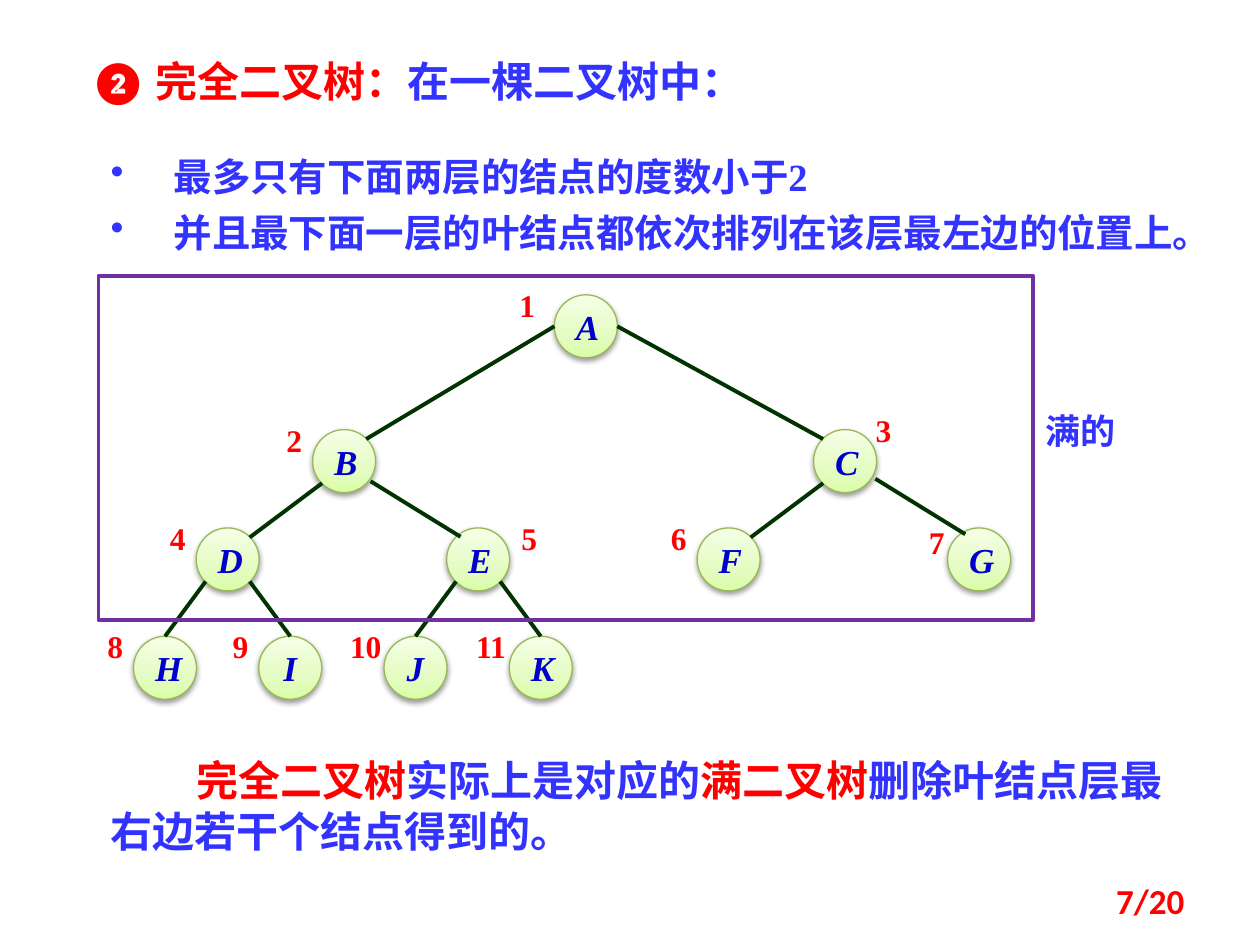
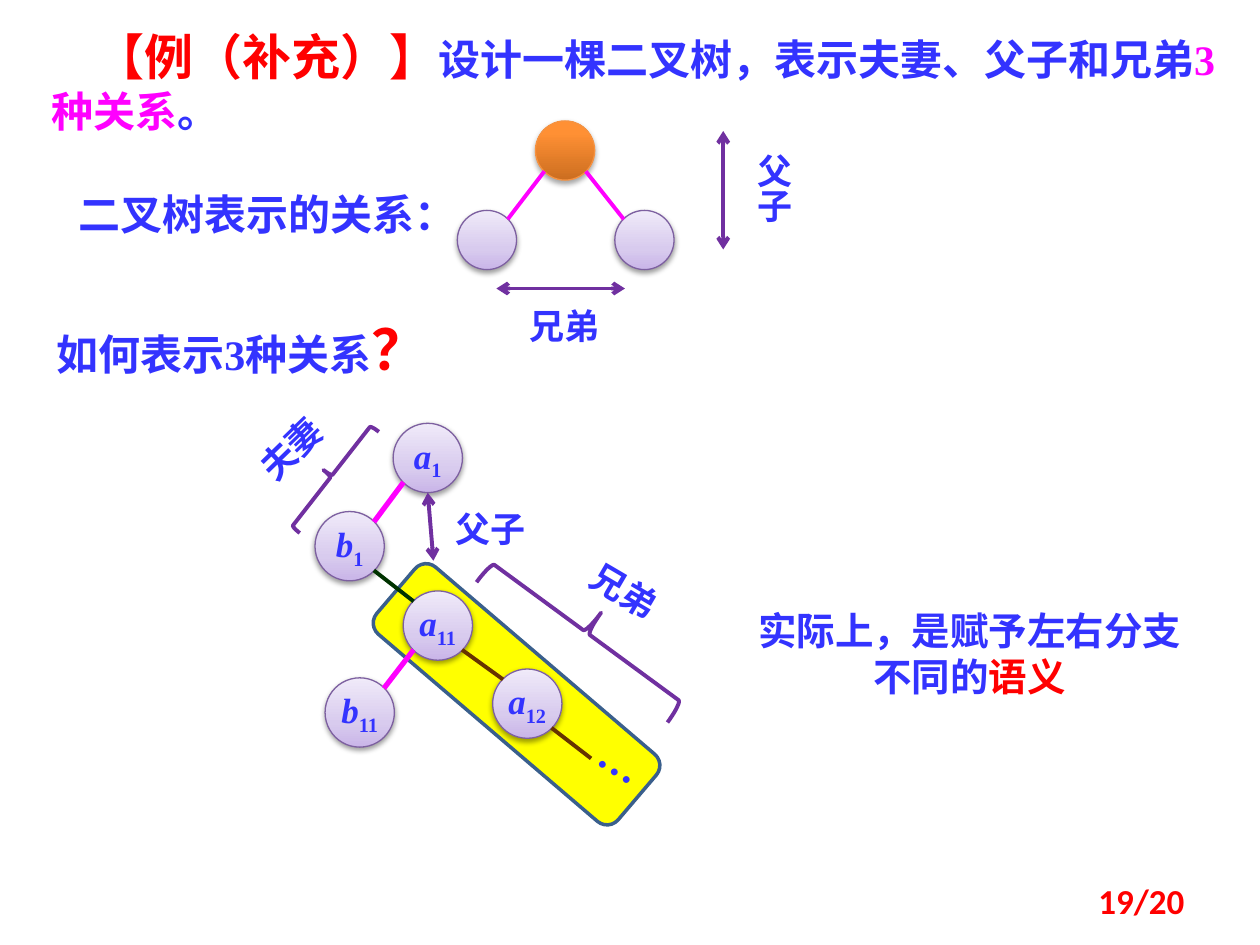
from dataclasses import dataclass

from lxml import etree
from pptx import Presentation
from pptx.dml.color import RGBColor
from pptx.enum.shapes import MSO_CONNECTOR, MSO_SHAPE
from pptx.enum.text import MSO_ANCHOR, MSO_AUTO_SIZE, PP_ALIGN
from pptx.oxml.ns import qn
from pptx.util import Inches, Pt

STRAIGHT = MSO_CONNECTOR.STRAIGHT
OVAL, RECTANGLE = MSO_SHAPE.OVAL, MSO_SHAPE.RECTANGLE
ROUNDED, BRACE = MSO_SHAPE.ROUNDED_RECTANGLE, MSO_SHAPE.LEFT_BRACE
LEFT, CENTER, RIGHT = PP_ALIGN.LEFT, PP_ALIGN.CENTER, PP_ALIGN.RIGHT
TOP, MIDDLE = MSO_ANCHOR.TOP, MSO_ANCHOR.MIDDLE
FIT = MSO_AUTO_SIZE.SHAPE_TO_FIT_TEXT

# The page is a grid of 100 columns by 75 rows
CELL = 0.1
COLUMNS, ROWS = 100, 75

SERIF, SANS, CHINESE = "Times New Roman", "Calibri", "Noto Sans CJK SC"
RED, BLUE, NAVY, PINK = "FF0000", "3333FF", "0000CC", "FF00FF"
PURPLE, GREEN, BROWN = "7030A0", "003300", "663300"

# Node looks: gradient stops from the bottom up, outline, shadow share, shadow distance
GREEN_NODE = ([(0, "DAFDA7"), (35, "E4FCC2"), (100, "F5FFE7")], "98B955", 38, 1.6)
LILAC_NODE = ([(0, "C9B5E8"), (35, "D8CBEE"), (100, "F0EAF9")], "7D60A0", 38, 1.6)
ORANGE_NODE = ([(0, "CC6E20"), (80, "FF9034"), (100, "FF9136")], "F69240", 35, 1.8)

# Points on a node, as shares of its box
WEST, EAST, NORTH = (0, 0.5), (1, 0.5), (0.5, 0)
NORTHWEST, NORTHEAST = (0.15, 0.15), (0.85, 0.15)
SOUTHWEST, SOUTHEAST = (0.15, 0.85), (0.85, 0.85)


@dataclass
class Box:
    left: float
    top: float
    width: float
    height: float

    def inner(self, left, top, width, height):
        return Box(self.left + left, self.top + top, width, height)

    def point(self, share):
        return self.left + share[0] * self.width, self.top + share[1] * self.height

    def lengths(self):
        return [cells(n) for n in (self.left, self.top, self.width, self.height)]


def cells(number):
    return Inches(number * CELL)


def color(hex_text):
    return RGBColor.from_string(hex_text)


def child(parent, tag, **attributes):
    return etree.SubElement(parent, qn(tag), {k: str(v) for k, v in attributes.items()})


# ---- Text ----
def run(text, tint=BLUE, size=24, font=SERIF, italic=False, lowered=False):
    return text, tint, size, font, italic, lowered


def add_runs(para, runs):
    for text, tint, size, font, italic, lowered in runs:
        span = para.add_run()
        span.text = text
        span.font.size, span.font.bold, span.font.italic = Pt(size), True, italic
        span.font.color.rgb = color(tint)
        span.font.name = font
        properties = span._r.get_or_add_rPr()
        properties.set("lang", "zh-CN")
        if lowered:
            properties.set("baseline", "-25000")
        child(properties, "a:ea", typeface=SANS)


def add_text(page, box, *runs, align=LEFT, anchor=TOP, indent=0, turn=0,
             inset=True, vertical=False):
    holder = page.shapes.add_textbox(*box.lengths())
    holder.rotation = turn
    frame = holder.text_frame
    frame.word_wrap, frame.vertical_anchor = True, anchor
    if anchor == TOP:
        frame.auto_size = FIT
    if not inset:
        frame.margin_left = frame.margin_right = 0
        frame.margin_top = frame.margin_bottom = 0
    if vertical:
        frame._txBody.bodyPr.set("vert", "eaVert")
    para = frame.paragraphs[0]
    para.alignment = align
    if indent:
        para._p.get_or_add_pPr().set("indent", str(cells(indent)))
    add_runs(para, runs)
    return frame


def add_bullets(page, box, lines):
    frame = add_text(page, box)
    for number, line in enumerate(lines):
        para = frame.add_paragraph() if number else frame.paragraphs[0]
        para.line_spacing = Pt(32)
        properties = para._p.get_or_add_pPr()
        properties.set("marL", str(cells(5)))
        properties.set("indent", str(cells(-5)))
        child(properties, "a:buChar", char="•")
        add_runs(para, [run(line, size=22)])


# ---- Shapes ----
def add_shape(page, kind, box, outline, weight, fill=None, turn=0):
    shape = page.shapes.add_shape(kind, *box.lengths())
    shape.shadow.inherit = False
    shape.rotation = turn
    if fill:
        shape.fill.solid()
        shape.fill.fore_color.rgb = color(fill)
    else:
        shape.fill.background()
    shape.line.color.rgb = color(outline)
    shape.line.width = Pt(weight)
    return shape


def add_node(page, box, look, *runs, wrap=True):
    stops, outline, shade, distance = look
    node = add_shape(page, OVAL, box, outline, 0.75)
    # Three-stop gradient running upwards
    node.fill.gradient()
    node.fill.gradient_angle = 90
    stop_list = node.element.spPr.find(".//" + qn("a:gsLst"))
    for stop in list(stop_list):
        stop_list.remove(stop)
    for place, tint in stops:
        child(child(stop_list, "a:gs", pos=place * 1000), "a:srgbClr", val=tint)
    # Soft shadow below
    effects = node.element.spPr.find(qn("a:effectLst"))
    shadow = child(effects, "a:outerShdw", blurRad=Pt(3.1), dist=Pt(distance),
                   dir=90 * 60000, rotWithShape=0)
    child(child(shadow, "a:srgbClr", val="000000"), "a:alpha", val=shade * 1000)
    # Letter
    frame = node.text_frame
    frame.word_wrap, frame.vertical_anchor = wrap, MIDDLE
    frame.paragraphs[0].alignment = CENTER
    add_runs(frame.paragraphs[0], runs)


def add_line(page, start, end, tint, weight=2.25, arrows=False):
    line = page.shapes.add_connector(STRAIGHT, *[cells(n) for n in (*start, *end)])
    line.line.color.rgb = color(tint)
    line.line.width = Pt(weight)
    properties = line.element.spPr
    if arrows:
        stroke = properties.find(qn("a:ln"))
        for tag in ("a:headEnd", "a:tailEnd"):
            child(stroke, tag, type="arrow")
    child(properties, "a:effectLst")


def add_page_number(page, sheet, text):
    add_text(page, sheet.inner(71.7, 69.5, 23.3, 4), run(text, RED, 20, SANS),
             align=RIGHT, anchor=MIDDLE)


# ---- Slide 1: complete binary tree ----
def draw_complete_tree(page, area):
    node_size, step = 5, 4.97
    levels = [1.5, 12.2, 20, 28.6]
    beside = (-3.6, -0.7)
    # Letter: column, level, offset of its number
    nodes = {
        "A": (6.72, 0, (-4.3, -0.7)), "B": (2.86, 1, beside), "C": (10.86, 1, (3.4, -1.5)),
        "D": (1, 2, beside), "E": (5, 2, (4.4, -0.7)), "F": (9, 2, beside),
        "G": (13, 2, (-3, -0.4)), "H": (0, 3, beside), "I": (2, 3, beside),
        "J": (4, 3, beside), "K": (6, 3, beside),
    }
    edges = [
        ("AB", WEST, NORTHEAST), ("AC", EAST, NORTHWEST),
        ("BD", SOUTHWEST, NORTHEAST), ("BE", (0.92, 0.82), (0.22, 0.14)),
        ("CF", SOUTHWEST, NORTHEAST), ("CG", (0.98, 0.78), (0.28, 0.1)),
        ("DH", SOUTHWEST, NORTH), ("DI", SOUTHEAST, NORTH),
        ("EJ", SOUTHWEST, NORTH), ("EK", SOUTHEAST, NORTH),
    ]
    boxes = {}
    for number, (letter, (column, level, offset)) in enumerate(nodes.items(), 1):
        box = area.inner(2.8 + column * step, levels[level], node_size, node_size)
        boxes[letter] = box
        add_node(page, box, GREEN_NODE, run(letter, NAVY, 20, italic=True))
        add_text(page, box.inner(*offset, 4.3, 3.1), run(str(number), RED, 18),
                 align=CENTER, inset=False)
    for (parent, leaf), start, end in edges:
        add_line(page, boxes[parent].point(start), boxes[leaf].point(end), GREEN)
    # Frame around the full levels
    add_shape(page, RECTANGLE, area.inner(0, 0, area.width, 27.3), PURPLE, 2)
    add_text(page, area.inner(area.width, 10.1, 8.6, 4.4), run("满的", size=20))


def build_complete_tree_slide(page, sheet):
    add_text(page, sheet.inner(6.2, 3.9, 63.3, 5),
             run("❷ 完全二叉树：", RED, font=CHINESE), run("在一棵二叉树中："))
    add_bullets(page, sheet.inner(7.8, 10.9, 90.6, 10),
                ["最多只有下面两层的结点的度数小于2",
                 "并且最下面一层的叶结点都依次排列在该层最左边的位置上。"])
    draw_complete_tree(page, sheet.inner(7.8, 21.9, 74.2, 33.6))
    add_text(page, sheet.inner(7.8, 59.4, 86.7, 9.1),
             run("完全二叉树", RED), run("实际上是对应的"), run("满二叉树", RED),
             run("删除叶结点层最右边若干个结点得到的。"), indent=6.8)
    add_page_number(page, sheet, "7/20")


# ---- Slide 2: family relations ----
def draw_basic_relations(page, area):
    size = 4.7
    root = area.inner(6.2, 0, size, size)
    children = [area.inner(left, 7.1, size, size) for left in (0, 12.5)]
    add_node(page, root, ORANGE_NODE)
    for box, start, end in zip(children, (SOUTHWEST, SOUTHEAST), (NORTHEAST, NORTHWEST)):
        add_node(page, box, LILAC_NODE)
        add_line(page, root.point(start), box.point(end), PINK)
    # Parent and child, upright
    upright = area.inner(21.1, 0.8, 0, 9.4)
    add_line(page, upright.point((0, 0)), upright.point((0, 1)), PURPLE, arrows=True)
    add_text(page, upright.inner(0.8, 0.8, 5.4, 7.8), run("父子", size=20), vertical=True)
    # Siblings, level
    level = area.inner(3.1, 13.3, 10.2, 0)
    add_line(page, level.point((0, 0)), level.point((1, 0)), PURPLE, arrows=True)
    add_text(page, level.inner(1.6, 0.8, 10.2, 4.4), run("兄弟", size=20))


def draw_family_tree(page, area):
    size = 5.5
    # Band behind the siblings
    add_shape(page, ROUNDED, area.inner(18.3, 9.1, 7, 25.2), "3A5F8C", 2, "FFFF00", 310.5)
    places = {"a1": (12, 0.2), "b1": (5.8, 7.2), "a11": (12.8, 13.5),
              "a12": (19.9, 19.7), "b11": (6.6, 20.4)}
    boxes = {name: area.inner(*place, size, size) for name, place in places.items()}
    for name, box in boxes.items():
        add_node(page, box, LILAC_NODE, run(name[0], size=20, italic=True),
                 run(name[1:], size=20, lowered=True), wrap=False)
    for parent, spouse in (("a1", "b1"), ("a11", "b11")):
        add_line(page, boxes[parent].point(SOUTHWEST), boxes[spouse].point(NORTHEAST), PINK, 3)
    for parent, sibling, tint in (("b1", "a11", GREEN), ("a11", "a12", BROWN)):
        add_line(page, boxes[parent].point(SOUTHEAST), boxes[sibling].point(NORTHWEST), tint)
    # More siblings
    last = boxes["a12"]
    add_line(page, last.point(SOUTHEAST), last.point((1.42, 1.29)), BROWN)
    add_text(page, area.inner(27.8, 25, 4.7, 4), run("…"), align=CENTER, turn=32.4, inset=False)
    # Couple
    add_shape(page, BRACE, area.inner(6.3, -0.7, 1.6, 10.2), PURPLE, 2.25, turn=38)
    add_text(page, area.inner(0, 0, 7.8, 4.4), run("夫妻", size=20), align=CENTER, turn=315.8)
    # Parent and child
    add_line(page, boxes["a1"].point((0.5, 1)), area.inner(15.2, 11.1, 0, 0).point(WEST),
             PURPLE, arrows=True)
    add_text(page, area.inner(16, 6.4, 7.8, 4.4), run("父子", size=20))
    # Siblings
    add_shape(page, BRACE, area.inner(25.4, 7.4, 3.9, 18.8), PURPLE, 2.25, turn=126.3)
    add_text(page, area.inner(24.9, 11.3, 10.9, 4.4), run("兄弟", size=20),
             align=CENTER, turn=30.4)


def build_family_slide(page, sheet):
    add_text(page, sheet.inner(3.1, 1.6, 94.5, 9.8),
             run("【例（补充）】", RED, 28, CHINESE),
             run("设计一棵二叉树，表示夫妻、父子和兄弟"),
             run("3种关系", PINK), run("。"), indent=3.5)
    add_text(page, sheet.inner(4.7, 14.5, 29.7, 5), run("二叉树表示的关系："), align=CENTER)
    add_text(page, sheet.inner(3.5, 24.5, 32, 6.4), run("如何表示3种关系"), run("？", RED, 32))
    draw_basic_relations(page, sheet.inner(36.3, 9.6, 27.3, 18.5))
    draw_family_tree(page, sheet.inner(19.2, 33.4, 36, 33))
    add_text(page, sheet.inner(58.6, 47.7, 36.7, 8.4),
             run("实际上，是赋予左右分支不同的", size=22), run("语义", RED, 22), align=CENTER)
    add_page_number(page, sheet, "19/20")


def main():
    deck = Presentation()
    deck.slide_width, deck.slide_height = cells(COLUMNS), cells(ROWS)
    sheet = Box(0, 0, COLUMNS, ROWS)
    for build in (build_complete_tree_slide, build_family_slide):
        build(deck.slides.add_slide(deck.slide_layouts[6]), sheet)
    deck.save("out.pptx")


if __name__ == "__main__":
    main()
